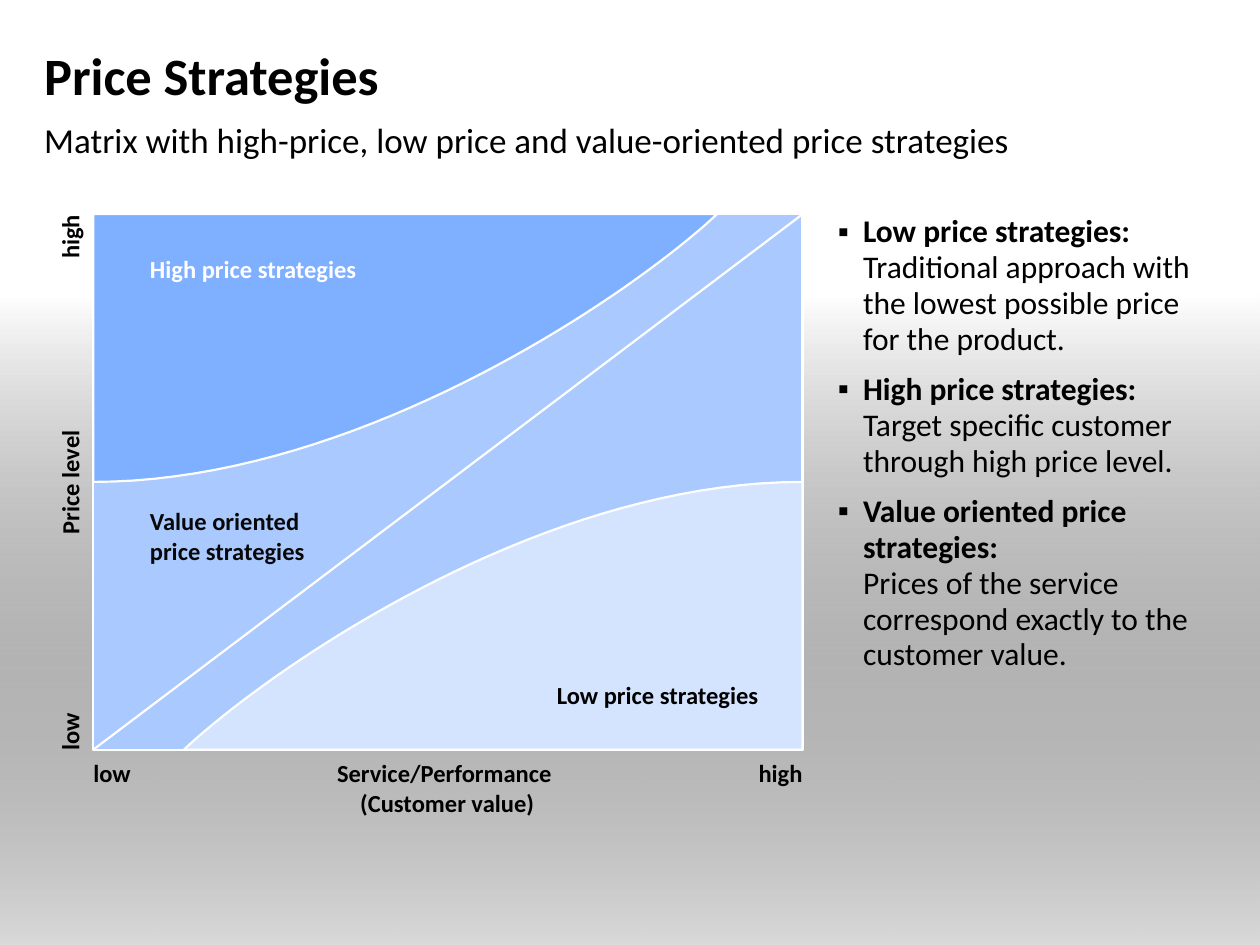
import pptx
import pptx.dml.color
import pptx.enum.shapes
import pptx.enum.text
import pptx.oxml
import pptx.oxml.ns
import pptx.util

ALIGN = pptx.enum.text.PP_ALIGN
ANCHOR = pptx.enum.text.MSO_ANCHOR
COLUMNS, ROWS = 100, 75
LEFT, TOP, RIGHT, BOTTOM = 7.4, 17, 63.7, 59.5
MIDDLE = (TOP + BOTTOM) / 2


def rgb(value):
    return pptx.dml.color.RGBColor.from_string(value)


def append_xml(parent, tag, **attributes):
    element = pptx.oxml.parse_xml(f"<a:{tag} {pptx.oxml.ns.nsdecls('a')}/>")
    for name, value in attributes.items():
        element.set(name, value)
    parent.append(element)


def write_text(paragraph, text, size=14, bold=True, color="000000", font="Calibri"):
    for index, line in enumerate(text.split("\n")):
        if index:
            paragraph.add_line_break()
        if line:
            run = paragraph.add_run()
            run.text = line
            run.font.name = font
            run.font.size = pptx.util.Pt(size)
            run.font.bold = bold
            run.font.color.rgb = rgb(color)


def curve(start, first, second, end, steps=40):
    points = []
    for step in range(steps + 1):
        t = step / steps
        weights = ((1 - t) ** 3, 3 * t * (1 - t) ** 2, 3 * t**2 * (1 - t), t**3)
        points.append(tuple(
            sum(weight * value for weight, value in zip(weights, values))
            for values in zip(start, first, second, end)))
    return points


class SlideBuilder:
    """Draws styled elements on one slide, measured in grid columns and rows."""

    def __init__(self, presentation, line_color="FFFFFF", line_width=1.25):
        self.column = presentation.slide_width / COLUMNS
        self.row = presentation.slide_height / ROWS
        self.line_color = line_color
        self.line_width = pptx.util.Pt(line_width)
        self.slide = presentation.slides.add_slide(presentation.slide_layouts[3])
        self.shapes = self.slide.shapes

    def box(self, left, top, width, height):
        return (round(left * self.column), round(top * self.row),
                round(width * self.column), round(height * self.row))

    def outline(self, shape):
        shape.line.color.rgb = rgb(self.line_color)
        shape.line.width = self.line_width

    def fill(self, shape, color):
        shape.shadow.inherit = False
        shape.fill.solid()
        shape.fill.fore_color.rgb = rgb(color)
        self.outline(shape)

    def rectangle(self, *position):
        return self.shapes.add_shape(
            pptx.enum.shapes.MSO_SHAPE.RECTANGLE, *self.box(*position))

    def backdrop(self, *position):
        shape = self.rectangle(*position)
        shape.shadow.inherit = False
        shape.line.fill.background()
        shape.fill.gradient()
        shape.fill.gradient_angle = 90
        dark, light = shape.fill.gradient_stops
        dark.color.rgb, dark.position = rgb("000000"), 0
        light.color.rgb, light.position = rgb("FFFFFF"), 1
        black = shape.element.find(".//" + pptx.oxml.ns.qn("a:srgbClr"))
        append_xml(black, "alpha", val="15000")
        self.shapes.element.insert(2, shape.element)

    def area(self, points, color):
        corners = [(round(x * self.column), round(y * self.row)) for x, y in points]
        builder = self.shapes.build_freeform(*corners[0])
        builder.add_line_segments(corners[1:], close=True)
        self.fill(builder.convert_to_shape(), color)

    def line(self, left, top, right, bottom):
        connector = self.shapes.add_connector(
            pptx.enum.shapes.MSO_CONNECTOR.STRAIGHT, *self.box(left, top, right, bottom))
        self.outline(connector)
        append_xml(connector.element.spPr, "effectLst")

    def frame(self, shape, anchor=ANCHOR.TOP):
        frame = shape.text_frame
        frame.margin_left = frame.margin_right = 0
        frame.margin_top = frame.margin_bottom = 0
        frame.word_wrap = True
        frame.auto_size = pptx.enum.text.MSO_AUTO_SIZE.NONE
        frame.vertical_anchor = anchor
        return frame

    def label(self, text, position, align=ALIGN.LEFT, rotation=0, color="000000"):
        shape = self.shapes.add_textbox(*self.box(*position))
        shape.rotation = rotation
        paragraph = self.frame(shape).paragraphs[0]
        paragraph.alignment = align
        write_text(paragraph, text, color=color)

    def placeholder(self, index, position, anchor=ANCHOR.TOP):
        shape = self.slide.placeholders[index]
        shape.left, shape.top, shape.width, shape.height = self.box(*position)
        return self.frame(shape, anchor)

    def heading(self, index, text, position, anchor=ANCHOR.TOP, **text_format):
        paragraph = self.placeholder(index, position, anchor).paragraphs[0]
        paragraph.alignment = ALIGN.LEFT
        properties = paragraph._p.get_or_add_pPr()
        properties.set("marL", "0")
        properties.set("indent", "0")
        append_xml(properties, "buNone")
        write_text(paragraph, text, **text_format)

    def bullets(self, index, items, position, size=18, indent=0.2):
        frame = self.placeholder(index, position)
        for number, (term, description) in enumerate(items):
            paragraph = frame.add_paragraph() if number else frame.paragraphs[0]
            paragraph.line_spacing = 0.95
            paragraph.space_before = pptx.util.Pt(0)
            paragraph.space_after = pptx.util.Pt(8)
            properties = paragraph._p.get_or_add_pPr()
            properties.set("marL", str(pptx.util.Inches(indent)))
            properties.set("indent", str(-pptx.util.Inches(indent)))
            append_xml(properties, "buChar", char="▪")
            write_text(paragraph, term + "\n", size=size)
            write_text(paragraph, description, size=size, bold=False)


def main():
    presentation = pptx.Presentation()
    presentation.slide_width = pptx.util.Inches(10)
    presentation.slide_height = pptx.util.Inches(7.5)
    builder = SlideBuilder(presentation)

    builder.backdrop(0, 23.3, COLUMNS, ROWS - 23.3)
    builder.heading(0, "Price Strategies", (3.5, 2.6, 92.9, 6.7), ANCHOR.MIDDLE, size=30)
    builder.heading(
        1, "Matrix with high-price, low price and value-oriented price strategies",
        (3.5, 9.4, 92.9, 3.7), size=20, bold=False)
    builder.bullets(2, [
        ("Low price strategies:",
         "Traditional approach with the lowest possible price for the product."),
        ("High price strategies:",
         "Target specific customer through high price level."),
        ("Value oriented price strategies:",
         "Prices of the service correspond exactly to the customer value."),
    ], (66.5, 17, 29.9, 46.5))

    builder.fill(builder.rectangle(LEFT, TOP, RIGHT - LEFT, BOTTOM - TOP), "AAC9FF")
    low_curve = curve((RIGHT, MIDDLE), (42.2, MIDDLE), (20.6, 53.8), (14.6, BOTTOM))
    high_curve = curve((LEFT, MIDDLE), (29, MIDDLE), (50.9, 22.7), (56.9, TOP))
    builder.area([(RIGHT, BOTTOM)] + low_curve, "D4E4FF")
    builder.area([(LEFT, TOP)] + high_curve, "7FAFFF")
    builder.line(LEFT, BOTTOM, RIGHT, TOP)

    builder.label("high", (0.7, 20.7, 9.7, 2.4), ALIGN.RIGHT, 270)
    builder.label("Price level", (-6, 37.1, 23.1, 2.4), ALIGN.CENTER, 270)
    builder.label("low", (0.7, 53.5, 9.7, 2.4), ALIGN.LEFT, 270)
    builder.label("low", (LEFT, 60.2, 10.8, 2.4))
    builder.label("Service/Performance \n(Customer value)", (20.3, 60.2, 30.4, 4.7), ALIGN.CENTER)
    builder.label("high", (RIGHT - 10.8, 60.2, 10.8, 2.4), ALIGN.RIGHT)
    builder.label("High price strategies", (11.9, 20.2, 18.8, 2.4), color="FFFFFF")
    builder.label("Value oriented price strategies", (11.9, 40.2, 15.3, 4.7), color="080808")
    builder.label("Low price strategies", (41.4, 54, 18.8, 4.7), ALIGN.RIGHT)

    presentation.save("out.pptx")


if __name__ == "__main__":
    main()
